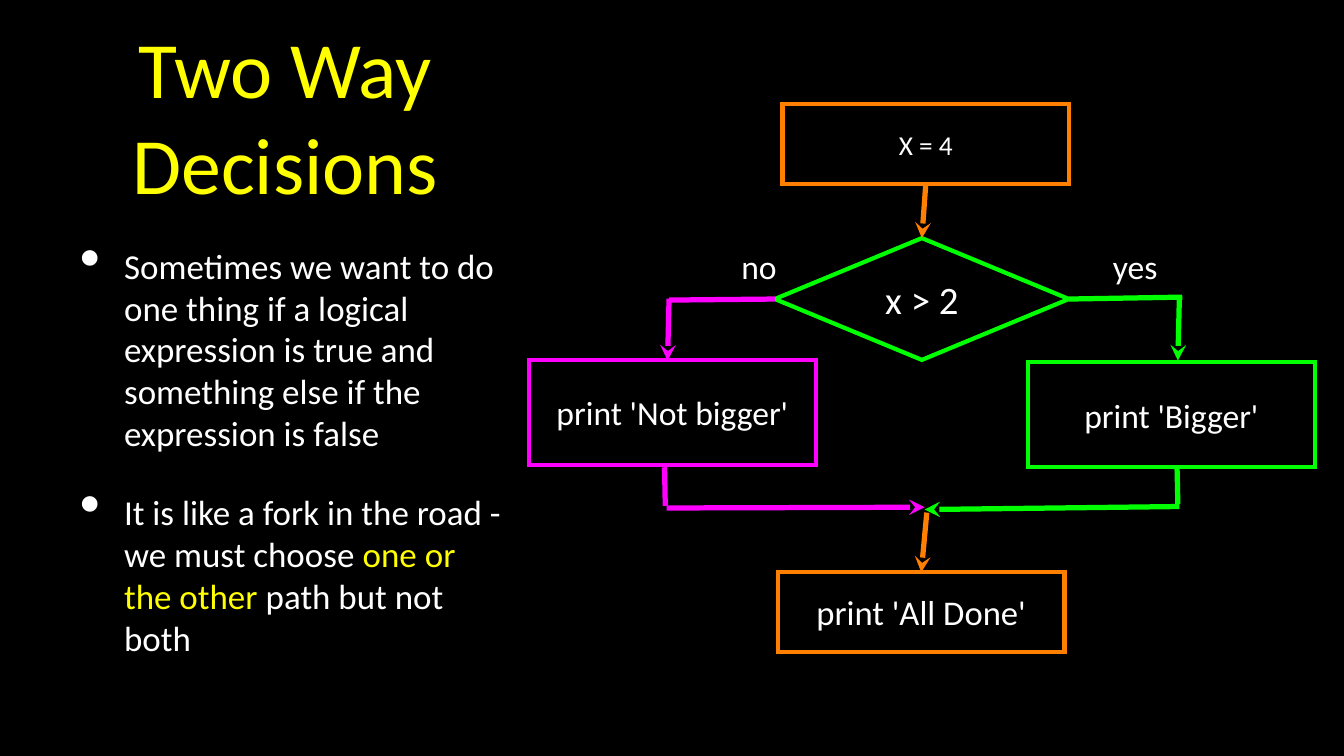
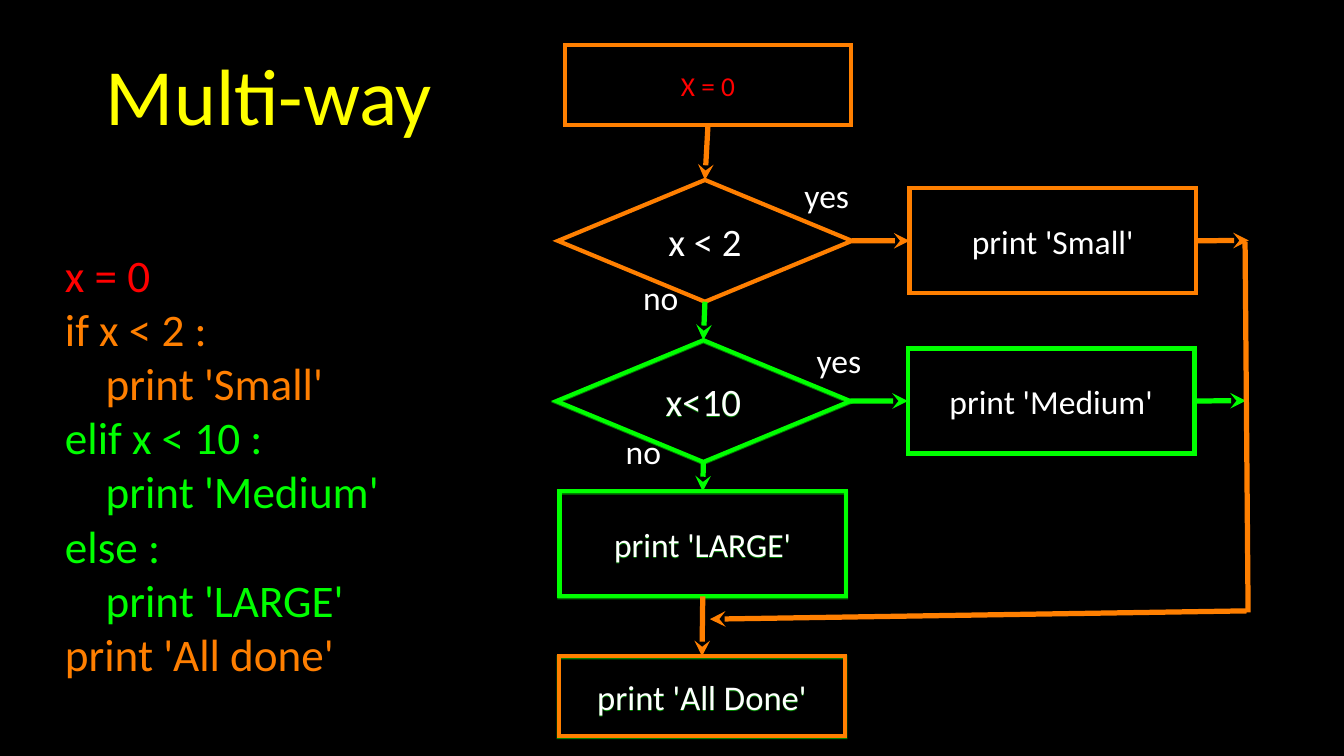
from lxml.etree import SubElement
from pptx import Presentation
from pptx.dml.color import RGBColor
from pptx.enum.shapes import MSO_CONNECTOR, MSO_SHAPE
from pptx.enum.text import MSO_ANCHOR, PP_ALIGN
from pptx.oxml.ns import qn
from pptx.util import Pt

BLACK = RGBColor(0x00, 0x00, 0x00)
WHITE = RGBColor(0xFF, 0xFF, 0xFF)
YELLOW = RGBColor(0xFF, 0xFF, 0x00)
ORANGE = RGBColor(0xFF, 0x7F, 0x00)
GREEN = RGBColor(0x00, 0xFF, 0x00)
MAGENTA = RGBColor(0xFF, 0x00, 0xFF)
RED = RGBColor(0xFF, 0x00, 0x00)

FONT = "Calibri"
TOP, LEFT, BOTTOM, RIGHT = range(4)

NODE_KINDS = {
    "start": (MSO_SHAPE.RECTANGLE, 273, 76, 26),
    "test": (MSO_SHAPE.DIAMOND, 280, 116, 37),
    "print": (MSO_SHAPE.RECTANGLE, 273, 100, 32),
    "end": (MSO_SHAPE.RECTANGLE, 273, 76, 33),
}
LABEL_WIDTHS = {"yes": 50, "no": 39}

TWO_WAY = {
    "title": ("Two Way Decisions", (13, 18.7, 517, 180.7)),
    "text": {
        "area": (56.2, 205.2, 432, 449.3),
        "size": 33.3,
        "inset": 3,
        "bullets": True,
        "paragraphs": [
            [("Sometimes we want to do one thing if a logical expression "
              "is true and something else if the expression is false", WHITE)],
            [("It is like a fork in the road - we must choose ", WHITE),
             ("one or the other", YELLOW),
             (" path but not both", WHITE)],
        ],
    },
    "nodes": {
        "start": ("start", "X = 4", 745.2, 99.4, ORANGE, WHITE, False),
        "test": ("test", "x > 2", 738, 226.8, GREEN, WHITE, False),
        "bigger": ("print", "print 'Bigger'", 979.2, 344.9, GREEN, WHITE, False),
        "not bigger": ("print", "print 'Not bigger'", 504, 342.7, MAGENTA, WHITE, False),
        "done": ("end", "print 'All Done'", 740.9, 545, ORANGE, WHITE, False),
    },
    "labels": [("yes", 1056.2, 234), ("no", 703.4, 234)],
    "links": [
        (("start", BOTTOM), ("test", TOP), ORANGE, True),
        (("test", RIGHT), (1126, 283), GREEN, False),
        ((1123.2, 284.4), (1121.8, 343.4), GREEN, True),
        ((1121, 444.2), (1121.8, 480.2), GREEN, False),
        ((1123.2, 482.4), (880.6, 485.3), GREEN, True),
        (("test", LEFT), (637.2, 285.8), MAGENTA, False),
        ((637.2, 284.4), (635.8, 343.4), MAGENTA, True),
        ((632.9, 445), (633.6, 481.7), MAGENTA, False),
        ((635, 483.8), (880.6, 483.1), MAGENTA, True),
        ((882.7, 488.2), ("done", TOP), ORANGE, True),
    ],
}

MULTI_WAY = {
    "title": ("Multi-way", (43.9, 23.8, 424.8, 130.3)),
    "text": {
        "area": (61.9, 235.4, 340, 412.6),
        "size": 43,
        "inset": 0,
        "bullets": False,
        "paragraphs": [
            [("x = 0", RED)],
            [("if x < 2 :", ORANGE)],
            [("    print 'Small'", ORANGE)],
            [("elif x < 10 :", GREEN)],
            [("    print 'Medium'", GREEN)],
            [("else :", GREEN)],
            [("    print 'LARGE'", GREEN)],
            [("print 'All done'", ORANGE)],
        ],
    },
    "nodes": {
        "start": ("start", "X = 0", 537.8, 43.2, ORANGE, RED, False),
        "below 2": ("test", "x < 2", 531.4, 171.4, ORANGE, WHITE, False),
        "small": ("print", "print 'Small'", 866.2, 179.3, ORANGE, WHITE, False),
        "below 10": ("test", "x<10", 529.9, 324, GREEN, WHITE, True),
        "medium": ("print", "print 'Medium'", 864.7, 331.9, GREEN, WHITE, False),
        "large": ("print", "print 'LARGE'", 532.8, 468, GREEN, WHITE, True),
        "done": ("end", "print 'All Done'", 532.1, 625, ORANGE, WHITE, True),
    },
    "labels": [
        ("yes", 762.5, 166.3),
        ("no", 609.8, 264.2),
        ("yes", 774, 324),
        ("no", 593.3, 410.4),
    ],
    "links": [
        (("start", BOTTOM), ("below 2", TOP), ORANGE, True),
        (("below 2", RIGHT), ("small", LEFT), ORANGE, True),
        (("below 2", BOTTOM), ("below 10", TOP), GREEN, True),
        (("below 10", RIGHT), ("medium", LEFT), GREEN, True),
        (("below 10", BOTTOM), ("large", TOP), GREEN, True),
        (("large", BOTTOM), ("done", TOP), ORANGE, True),
        (("small", RIGHT), (1189.4, 229), ORANGE, True),
        (("medium", RIGHT), (1186.6, 381.6), GREEN, True),
        ((1185.8, 230.4), (1188.7, 583.2), ORANGE, False),
        ((1187.3, 581.8), (676.1, 589.7), ORANGE, True),
    ],
}


def add_bullet(para):
    properties = para._p.get_or_add_pPr()
    properties.set("marL", str(Pt(59)))
    properties.set("indent", str(-Pt(42)))
    color = SubElement(properties, qn("a:buClr"))
    SubElement(color, qn("a:srgbClr"), val=str(WHITE))
    SubElement(properties, qn("a:buSzPct"), val="171000")
    SubElement(properties, qn("a:buChar"), char="•")


def write(shape, paragraphs, size, inset=0, align=PP_ALIGN.CENTER, wrap=True, bullets=False):
    frame = shape.text_frame
    frame.word_wrap = wrap
    frame.vertical_anchor = MSO_ANCHOR.MIDDLE
    frame.margin_left = frame.margin_right = Pt(inset)
    frame.margin_top = frame.margin_bottom = Pt(inset)
    for index, spans in enumerate(paragraphs):
        para = frame.add_paragraph() if index else frame.paragraphs[0]
        para.alignment = align
        if bullets:
            add_bullet(para)
            para.space_before = Pt(35 if index else 0)
        for text, color in spans:
            span = para.add_run()
            span.text = text
            span.font.name = FONT
            span.font.size = Pt(size)
            span.font.color.rgb = color


def add_text(page, area, paragraphs, size, **options):
    box = page.shapes.add_textbox(*(Pt(length) for length in area))
    write(box, paragraphs, size, **options)


def add_green_shadow(box):
    effects = box._element.spPr.find(qn("a:effectLst"))
    shadow = SubElement(effects, qn("a:outerShdw"), blurRad="0", dist=str(Pt(1)),
                        dir="5400000", algn="ctr", rotWithShape="0")
    color = SubElement(shadow, qn("a:srgbClr"), val=str(GREEN))
    SubElement(color, qn("a:alpha"), val="50000")


def add_node(page, kind, text, left, top, outline, ink, glowing):
    preset, width, height, size = NODE_KINDS[kind]
    box = page.shapes.add_shape(preset, Pt(left), Pt(top), Pt(width), Pt(height))
    box.shadow.inherit = False
    box.fill.background()
    box.line.color.rgb = outline
    box.line.width = Pt(4)
    SubElement(box.line._ln, qn("a:miter"), lim="800000")
    if glowing:
        add_green_shadow(box)
    write(box, [[(text, ink)]], size)
    return box


def add_link(page, nodes, start, end, color, arrow):
    link = page.shapes.add_connector(MSO_CONNECTOR.STRAIGHT, 0, 0, 0, 0)
    for point, connect, axes in (
        (start, link.begin_connect, ("begin_x", "begin_y")),
        (end, link.end_connect, ("end_x", "end_y")),
    ):
        if point[0] in nodes:
            connect(nodes[point[0]], point[1])
        else:
            for axis, length in zip(axes, point):
                setattr(link, axis, Pt(length))
    link.line.color.rgb = color
    link.line.width = Pt(5)
    if arrow:
        SubElement(link.line._ln, qn("a:tailEnd"), type="stealth")
    SubElement(link._element.spPr, qn("a:effectLst"))


def add_page(deck, content):
    page = deck.slides.add_slide(deck.slide_layouts[6])
    page.background.fill.solid()
    page.background.fill.fore_color.rgb = BLACK

    title, area = content["title"]
    add_text(page, area, [[(title, YELLOW)]], 76, inset=3)
    text = content["text"]
    add_text(page, text["area"], text["paragraphs"], text["size"], inset=text["inset"],
             align=PP_ALIGN.LEFT, bullets=text["bullets"])

    nodes = {name: add_node(page, *node) for name, node in content["nodes"].items()}
    for link in content["links"]:
        add_link(page, nodes, *link)
    for label, left, top in content["labels"]:
        add_text(page, (left, top, LABEL_WIDTHS[label], 38), [[(label, WHITE)]], 32, wrap=False)


def main():
    deck = Presentation()
    deck.slide_width = Pt(1280)
    deck.slide_height = Pt(720)
    for content in (TWO_WAY, MULTI_WAY):
        add_page(deck, content)
    deck.save("out.pptx")


if __name__ == "__main__":
    main()
